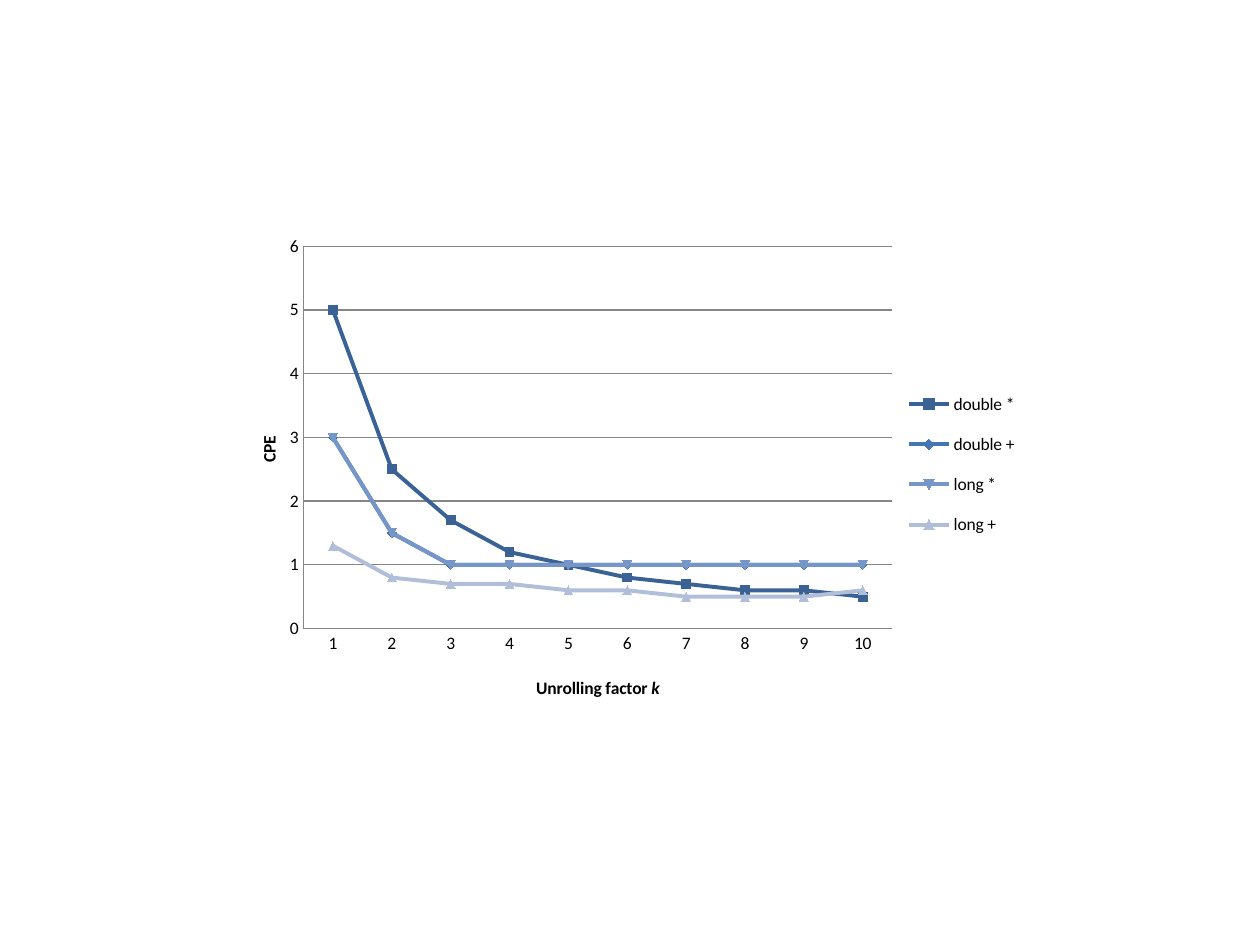
"""Build a slide with a line chart of CPE against the unrolling factor."""
from lxml import etree
from pptx import Presentation
from pptx.chart.data import CategoryChartData
from pptx.dml.color import RGBColor
from pptx.enum.chart import XL_CHART_TYPE, XL_LEGEND_POSITION, XL_TICK_MARK
from pptx.oxml.ns import qn
from pptx.util import Inches, Pt

LINE_MARKERS = XL_CHART_TYPE.LINE_MARKERS
RIGHT = XL_LEGEND_POSITION.RIGHT
NO_TICK = XL_TICK_MARK.NONE
THEME = {
    "font": "Calibri",
    "size": Pt(10),
    "text": RGBColor.from_string("000000"),
    "grid": RGBColor.from_string("868686"),
    "series": ["3A6295", "4474B2", "7596C6", "B0BED9"],
}
CPE = {
    "double *": [5, 2.5, 1.7, 1.2, 1, 0.8, 0.7, 0.6, 0.6, 0.5],
    "double +": [3, 1.5, 1, 1, 1, 1, 1, 1, 1, 1],
    "long *": [3, 1.5, 1, 1, 1, 1, 1, 1, 1, 1],
    "long +": [1.3, 0.8, 0.7, 0.7, 0.6, 0.6, 0.5, 0.5, 0.5, 0.6],
}


def set_layout(element, index, inner=False, **fractions):
    for old in element.findall(qn("c:layout")):
        element.remove(old)
    layout = etree.Element(qn("c:layout"))
    element.insert(index, layout)
    manual = etree.SubElement(layout, qn("c:manualLayout"))
    if inner:
        etree.SubElement(manual, qn("c:layoutTarget")).set("val", "inner")
    for mode in ("xMode", "yMode"):
        etree.SubElement(manual, qn(f"c:{mode}")).set("val", "edge")
    for name, value in fractions.items():
        etree.SubElement(manual, qn(f"c:{name}")).set("val", str(value))


def style_font(font, bold=False):
    font.name = THEME["font"]
    font.size = THEME["size"]
    font.bold = bold
    font.color.rgb = THEME["text"]


prs = Presentation()
prs.slide_width, prs.slide_height = Inches(10), Inches(7.5)
s = prs.slides.add_slide(prs.slide_layouts[6])

data = CategoryChartData()
data.categories = range(1, 11)
for name, values in CPE.items():
    data.add_series(name, values)
chart = s.shapes.add_chart(
    LINE_MARKERS, Inches(1.76), Inches(1.8), Inches(6.49), Inches(3.89), data
).chart
style_font(chart.font)
chart.has_title = False
chart.plots[0].vary_by_categories = False
set_layout(chart.plots[0]._element.getparent(), 0, True, x=0.1, y=0.04, w=0.72, h=0.78)

for series, color in zip(chart.plots[0].series, THEME["series"]):
    rgb = RGBColor.from_string(color)
    series.smooth = False
    series.format.line.width = Pt(2.25)
    series.format.line.color.rgb = rgb
    series.marker.size = 5
    series.marker.format.fill.solid()
    series.marker.format.fill.fore_color.rgb = rgb
    series.marker.format.line.color.rgb = rgb

titles = [
    (chart.category_axis, ["Unrolling factor ", "k"], 0.38, 0.91),
    (chart.value_axis, ["CPE"], 0.04, 0.42),
]
for axis, words, x, y in titles:
    axis.major_tick_mark = axis.minor_tick_mark = NO_TICK
    axis.format.line.color.rgb = THEME["grid"]
    style_font(axis.tick_labels.font)
    p = axis.axis_title.text_frame.paragraphs[0]
    for word in words:
        r = p.add_run()
        r.text = word
        style_font(r.font, bold=True)
        r.font.italic = word == "k"
    set_layout(axis.axis_title._element, 1, x=x, y=y)

value_axis = chart.value_axis
value_axis.minimum_scale, value_axis.maximum_scale = 0, 6
value_axis.major_unit = 1
value_axis.has_major_gridlines = True
value_axis.major_gridlines.format.line.color.rgb = THEME["grid"]
value_axis.major_gridlines.format.line.width = Pt(0.75)

chart.has_legend = True
chart.legend.position = RIGHT
chart.legend.include_in_layout = False
style_font(chart.legend.font)
set_layout(chart.legend._element, 1, x=0.83, y=0.3, w=0.15, h=0.37)

prs.save("out.pptx")
